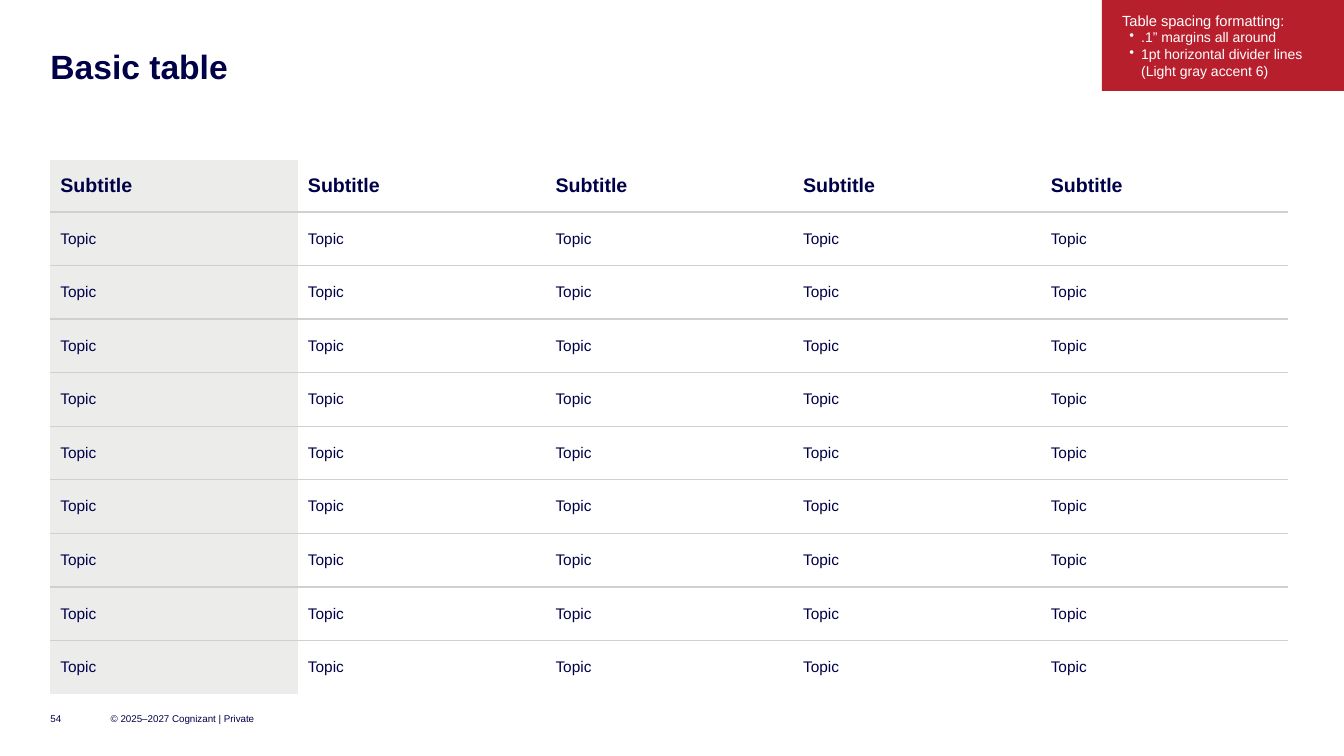
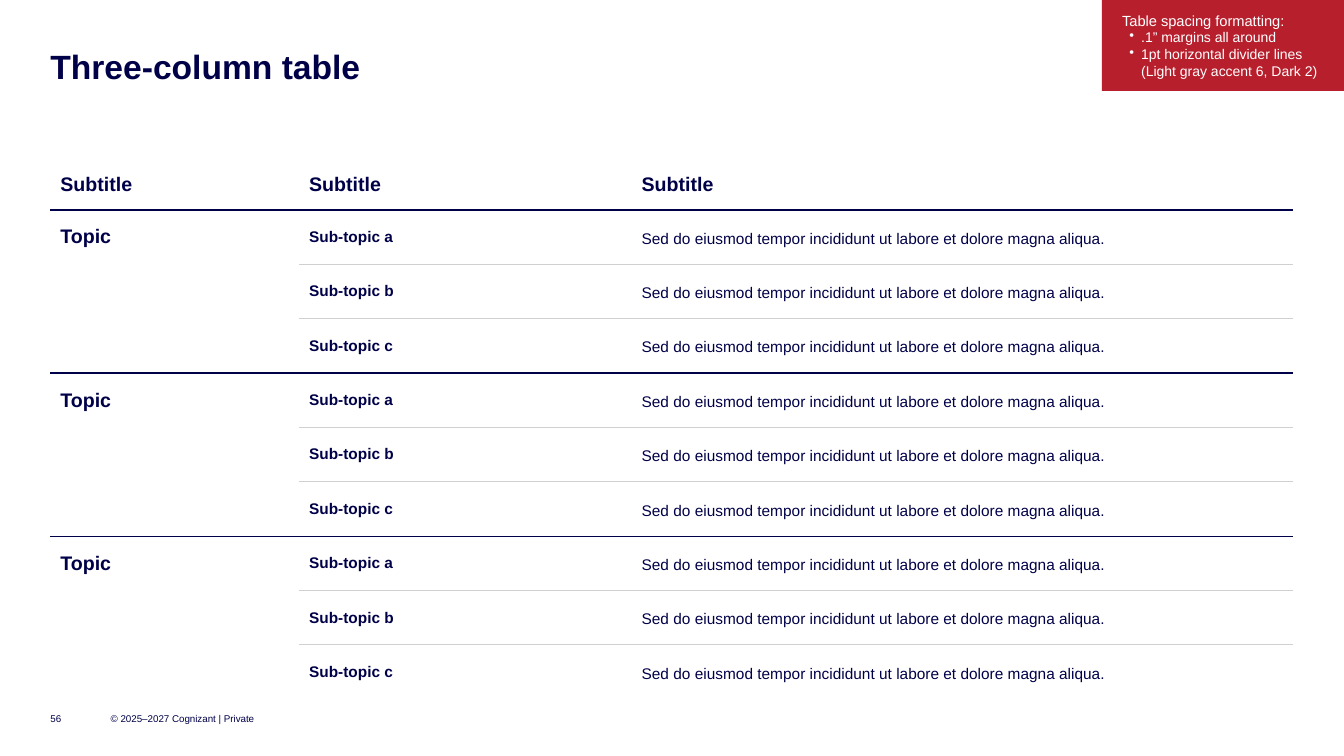
from lxml import etree
from pptx import Presentation
from pptx.dml.color import RGBColor
from pptx.enum import shapes, text
from pptx.oxml import ns
from pptx.util import Cm, Pt

NAVY = RGBColor(0x00, 0x00, 0x48)
RED = RGBColor(0xB8, 0x1F, 0x2D)
WHITE = RGBColor(0xFF, 0xFF, 0xFF)
DIVIDER = RGBColor(0xD0, 0xD0, 0xCE)
SHADE = RGBColor(0xEC, 0xEC, 0xEB)
FONT = "Arial"
MARGIN = Cm(1.27)
INSET = Cm(0.25)
PLAIN_TABLE = "{2D5ABB26-0587-4C30-8999-92F81FD0307C}"
BODY_ROWS = 9
SUBTOPICS = ["Sub-topic a", "Sub-topic b", "Sub-topic c"]
SENTENCE = "Sed do eiusmod tempor incididunt ut labore et dolore magna aliqua."


def style(paragraph, size, color=NAVY, bold=False):
    for run in paragraph.runs:
        run.font.name = FONT
        run.font.size = Pt(size)
        run.font.bold = bold
        run.font.color.rgb = color


def fill_cell(cell, words, size, bold, borders, shade=None):
    """Write a cell; borders maps lnL, lnR, lnT or lnB, in that order, to a colour."""
    cell.text_frame.text = words
    cell.vertical_anchor = text.MSO_ANCHOR.MIDDLE
    cell.margin_left = cell.margin_right = INSET
    cell.margin_top = cell.margin_bottom = INSET
    style(cell.text_frame.paragraphs[0], size, bold=bold)
    properties = cell._tc.get_or_add_tcPr()
    for side, color in borders.items():
        line = etree.SubElement(properties, ns.qn(f"a:{side}"), w=str(Pt(1)))
        solid = etree.SubElement(line, ns.qn("a:solidFill"))
        etree.SubElement(solid, ns.qn("a:srgbClr"), val=str(color))
    if shade is None:
        cell.fill.background()
    else:
        cell.fill.solid()
        cell.fill.fore_color.rgb = shade


prs = Presentation()
prs.slide_width, prs.slide_height = Cm(33.87), Cm(19.05)

# Title, page number, note on line colours, column widths, header and body row heights
pages = [
    ("Basic table", "54", "Light gray accent 6", [6.24] * 5, 1.32, 1.35),
    ("Three-column table", "56", "Light gray accent 6, Dark 2", [6.27, 8.38, 16.67], 1.27, 1.37),
]
tables = []

for heading, number, line_colors, widths, header_height, row_height in pages:
    slide = prs.slides.add_slide(prs.slide_layouts[5])

    title = slide.shapes.title
    title.left, title.top, title.width, title.height = MARGIN, MARGIN, Cm(31.32), Cm(0.91)
    frame = title.text_frame
    frame.text = heading
    frame.margin_left = frame.margin_right = frame.margin_top = frame.margin_bottom = 0
    frame.vertical_anchor = text.MSO_ANCHOR.TOP
    frame.auto_size = text.MSO_AUTO_SIZE.SHAPE_TO_FIT_TEXT
    frame.paragraphs[0].alignment = text.PP_ALIGN.LEFT
    frame.paragraphs[0].line_spacing = 0.9
    style(frame.paragraphs[0], 24, bold=True)

    table_frame = slide.shapes.add_table(
        BODY_ROWS + 1, len(widths), MARGIN, Cm(4.02),
        Cm(sum(widths)), Cm(header_height + BODY_ROWS * row_height))
    table = table_frame.table
    table.first_row = table.horz_banding = False
    table._tbl.tblPr.find(ns.qn("a:tableStyleId")).text = PLAIN_TABLE
    for column, width in zip(table.columns, widths):
        column.width = Cm(width)
    for index, row in enumerate(table.rows):
        row.height = Cm(row_height if index else header_height)
    tables.append(table)

    footers = [(MARGIN, Cm(1.02), number),
               (Cm(2.79), Cm(3.81), "© 2025–2027 Cognizant | Private")]
    for left, width, words in footers:
        footer = slide.shapes.add_textbox(left, Cm(17.78), width, Cm(0.64)).text_frame
        footer.margin_left = footer.margin_right = footer.margin_top = footer.margin_bottom = 0
        footer.word_wrap = True
        footer.vertical_anchor = text.MSO_ANCHOR.MIDDLE
        footer.text = words
        style(footer.paragraphs[0], 7)

    note = slide.shapes.add_shape(
        shapes.MSO_SHAPE.RECTANGLE, Cm(27.77), 0, Cm(6.1), Cm(2.29))
    note.shadow.inherit = False
    note.fill.solid()
    note.fill.fore_color.rgb = RED
    note.line.fill.background()
    frame = note.text_frame
    frame.word_wrap = True
    frame.vertical_anchor = text.MSO_ANCHOR.MIDDLE
    frame.margin_left = frame.margin_right = Cm(0.51)
    frame.margin_top = frame.margin_bottom = INSET
    frame.text = "\n".join(["Table spacing formatting:", ".1” margins all around",
                            f"1pt horizontal divider lines ({line_colors})"])
    for index, paragraph in enumerate(frame.paragraphs):
        paragraph.alignment = text.PP_ALIGN.LEFT
        if index:
            properties = paragraph._p.get_or_add_pPr()
            properties.set("marL", str(Cm(0.48)))
            properties.set("indent", str(Cm(-0.3)))
            etree.SubElement(properties, ns.qn("a:buChar"), char="•")
        style(paragraph, 10 if index else 10.5, WHITE)

basic, three_column = tables

for r in range(BODY_ROWS + 1):
    for c in range(len(basic.columns)):
        fill_cell(basic.cell(r, c), "Topic" if r else "Subtitle", 11 if r else 14, r == 0,
                  {"lnB": DIVIDER} if r < BODY_ROWS else {}, None if c else SHADE)

for c in range(len(three_column.columns)):
    fill_cell(three_column.cell(0, c), "Subtitle", 14, True, {"lnB": NAVY})

for r in range(1, BODY_ROWS + 1):
    step = (r - 1) % len(SUBTOPICS)
    group_ends = step == len(SUBTOPICS) - 1
    row_cells = [("" if step else "Topic", 14, True), (SUBTOPICS[step], 11, True),
                 (SENTENCE, 11, False)]
    for c, (words, size, bold) in enumerate(row_cells):
        borders = {}
        if r < BODY_ROWS:
            if group_ends:
                borders["lnB"] = NAVY
            elif c:
                borders["lnB"] = DIVIDER
        fill_cell(three_column.cell(r, c), words, size, bold, borders)
    three_column.cell(r, 2).text_frame.paragraphs[0].line_spacing = 1.2

prs.save("out.pptx")
